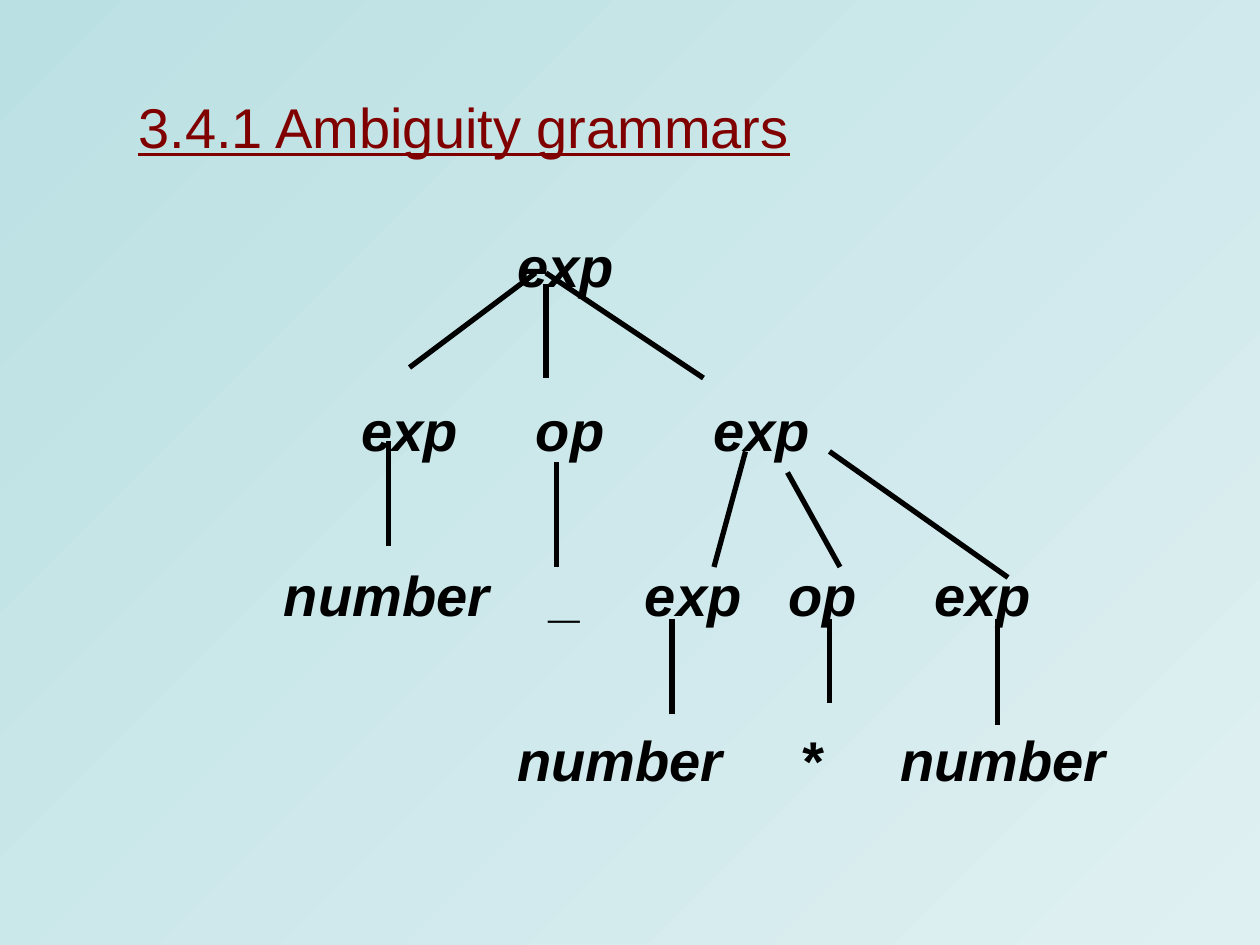
"""Build a slide showing a parse tree for an ambiguous grammar."""
from lxml import etree
from pptx import Presentation
from pptx import util as u
from pptx.dml.color import RGBColor
from pptx.enum import shapes, text
from pptx.oxml import ns

THEME = {
    "background": ("BBE0E3", "DFF0F2"),
    "line": "000000",
    "line_width": 3,
    "title": {"name": "Arial", "size": u.Pt(32), "underline": True},
    "title_color": "800000",
    "node": {"name": "Arial", "size": u.Pt(32), "bold": True, "italic": True},
    "node_color": "000000",
}


def add_box(page, left, top, width, height, anchor):
    box = page.shapes.add_textbox(u.Pt(left), u.Pt(top), u.Pt(width), u.Pt(height))
    frame = box.text_frame
    frame.word_wrap = True
    frame.vertical_anchor = anchor
    return frame


def add_span(para, words, style, color):
    span = para.add_run()
    span.text = words
    for name, value in style.items():
        setattr(span.font, name, value)
    span.font.color.rgb = RGBColor.from_string(color)


deck = Presentation()
deck.slide_width, deck.slide_height = u.Pt(720), u.Pt(540)
page = deck.slides.add_slide(deck.slide_layouts[6])

fill = page.background.fill
fill.gradient()
fill.gradient_angle = 315
for stop, position, color in zip(fill.gradient_stops, (0, 1), THEME["background"]):
    stop.position = position
    stop.color.rgb = RGBColor.from_string(color)

title = add_box(page, 72, 48, 612, 48, text.MSO_ANCHOR.MIDDLE)
add_span(title.paragraphs[0], "3.4.1 Ambiguity grammars", THEME["title"], THEME["title_color"])

TREE_LEFT, INSET, LEVEL_GAP = 84, 7.2, 55.8
levels = [
    [("exp", 295.8)],
    [("exp", 206.8), ("op", 306.4), ("exp", 407.8)],
    [("number", 162.4), ("_", 315.3), ("exp", 368.7), ("op", 450.5), ("exp", 534.1)],
    [("number", 295.8), ("*", 457.6), ("number", 514.5)],
]
tree = add_box(page, TREE_LEFT, 128.5, 612, 324, text.MSO_ANCHOR.TOP)
for depth, nodes in enumerate(levels):
    para = tree.add_paragraph() if depth else tree.paragraphs[0]
    tabs = etree.SubElement(para._p.get_or_add_pPr(), ns.qn("a:tabLst"))
    for _, left in nodes:
        offset = u.Pt(left - TREE_LEFT - INSET)
        etree.SubElement(tabs, ns.qn("a:tab"), pos=str(int(offset)), algn="l")
    para.space_before = u.Pt(LEVEL_GAP if depth else 0)
    words = "".join(f"\t{word}" for word, _ in nodes)
    add_span(para, words, THEME["node"], THEME["node_color"])

branches = [
    (306, 156, 234, 210),
    (312, 162, 312, 216),
    (312, 156, 402, 216),
    (222, 252, 222, 312),
    (318, 264, 318, 324),
    (426, 258, 408, 324),
    (450, 270, 480, 324),
    (474, 258, 576, 330),
    (384, 354, 384, 408),
    (474, 354, 474, 402),
    (570, 354, 570, 414),
]
for ends in branches:
    branch = page.shapes.add_connector(shapes.MSO_CONNECTOR.STRAIGHT, *map(u.Pt, ends))
    branch.line.width = u.Pt(THEME["line_width"])
    branch.line.color.rgb = RGBColor.from_string(THEME["line"])
    etree.SubElement(branch._element.spPr, ns.qn("a:effectLst"))

deck.save("out.pptx")
